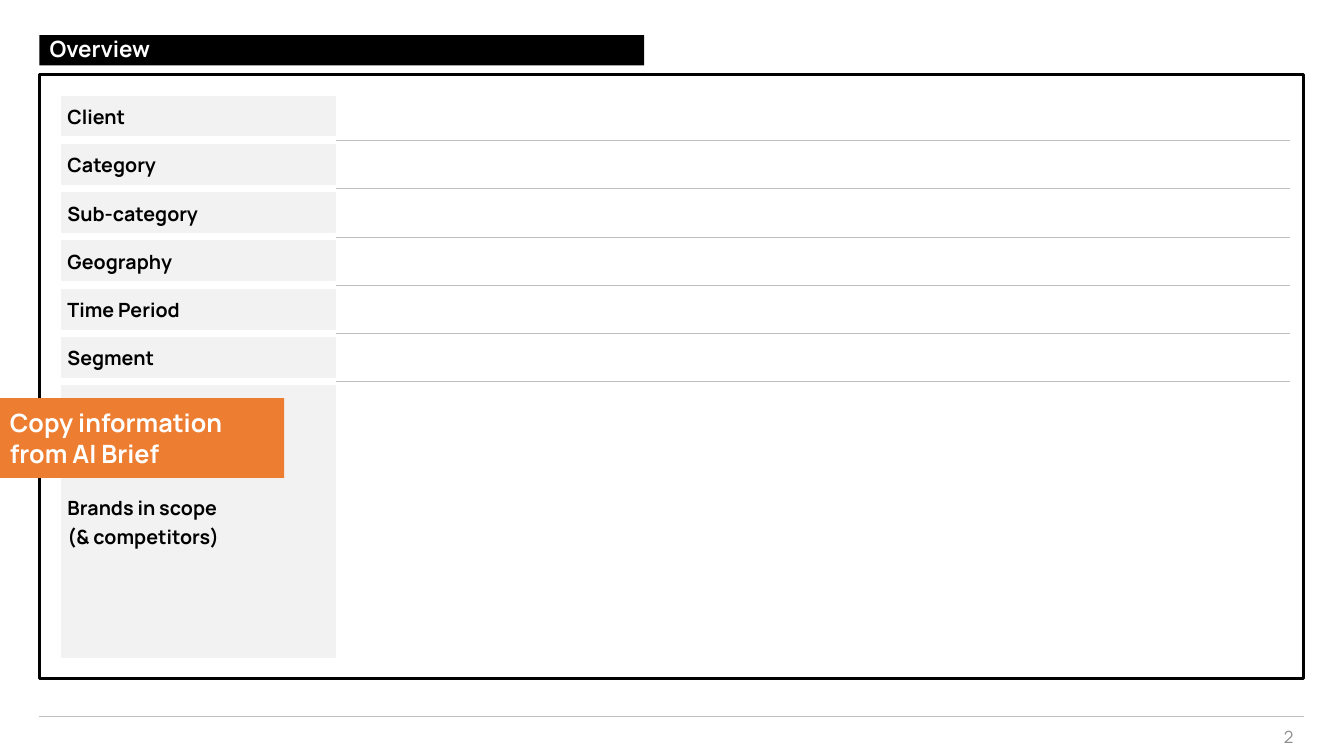
from lxml.etree import SubElement
from pptx import Presentation
from pptx.dml.color import RGBColor
from pptx.enum.shapes import MSO_CONNECTOR, MSO_SHAPE
from pptx.enum.text import MSO_ANCHOR, MSO_AUTO_SIZE, PP_ALIGN
from pptx.oxml import parse_xml
from pptx.oxml.ns import nsdecls, qn
from pptx.util import Pt

BLACK, WHITE, LIGHT, RULE = "000000", "FFFFFF", "F2F2F2", "BFBFBF"
ORANGE, GREY = "ED7D31", "8C8C8C"
color = RGBColor.from_string


def write(text_frame, text, size, text_color, bold=True, align=PP_ALIGN.LEFT,
          spacing=None, before=0, after=0):
    """Fill a text frame, one paragraph per line of text."""
    text_frame.text = text
    text_frame.word_wrap = True
    text_frame.vertical_anchor = MSO_ANCHOR.MIDDLE
    for paragraph in text_frame.paragraphs:
        paragraph.alignment = align
        paragraph.line_spacing = spacing
        paragraph.space_before = Pt(before)
        paragraph.space_after = Pt(after)
        font = paragraph.runs[0].font
        font.name, font.size, font.bold = "Manrope", Pt(size), bold
        font.color.rgb = color(text_color)


def set_borders(cell, **sides):
    """Set borders in schema order; each side (L, R, T, B) is (colour, width)."""
    properties = cell._tc.get_or_add_tcPr()
    for index, side in enumerate("LRTB"):
        line_color, width = sides.get(side, (WHITE, 6))
        properties.insert(index, parse_xml(
            f'<a:ln{side} {nsdecls("a")} w="{Pt(width)}"><a:solidFill>'
            f'<a:srgbClr val="{line_color}"/></a:solidFill></a:ln{side}>'))


presentation = Presentation()
presentation.slide_width, presentation.slide_height = Pt(960), Pt(540)
slide = presentation.slides.add_slide(presentation.slide_layouts[5])
shapes = slide.shapes

# Frame and footer rule
frame = shapes.add_shape(MSO_SHAPE.RECTANGLE, Pt(28.2), Pt(53.3), Pt(902.9), Pt(431.3))
frame.shadow.inherit = False
frame.fill.solid()
frame.fill.fore_color.rgb = color(WHITE)
frame.line.color.rgb = color(BLACK)
frame.line.width = Pt(2.25)

footer_rule = shapes.add_connector(MSO_CONNECTOR.STRAIGHT, Pt(28.2), Pt(511.8), Pt(931.1), Pt(511.8))
footer_rule.line.color.rgb = color(RULE)
footer_rule.line.width = Pt(0.25)
SubElement(footer_rule._element.spPr, qn("a:effectLst"))

# Title bar
title = shapes.title
title.left, title.top, title.width, title.height = Pt(28.2), Pt(25.1), Pt(432), Pt(21.6)
title.fill.solid()
title.fill.fore_color.rgb = color(BLACK)
write(title.text_frame, "Overview", 16, WHITE, spacing=0.9, before=10)
title.text_frame.auto_size = MSO_AUTO_SIZE.NONE

page_number = shapes.add_textbox(Pt(872), Pt(519), Pt(59), Pt(14.4))
write(page_number.text_frame, "2", 12, GREY, bold=False, align=PP_ALIGN.RIGHT)

# Brief table: labels on the left, blank values on the right
labels = ["Client", "Category", "Sub-category", "Geography", "Time Period",
          "Segment", "Brands in scope\n(& competitors)"]
last = len(labels) - 1
table = shapes.add_table(len(labels), 2, Pt(41), Pt(65.6), Pt(877.7), Pt(407)).table
table.first_row = table.horz_banding = False
table.columns[0].width, table.columns[1].width = Pt(201.6), Pt(676.1)

for row, label in enumerate(labels):
    table.rows[row].height = Pt(200 if row == last else 34.5)
    label_cell, value_cell = table.cell(row, 0), table.cell(row, 1)
    for cell, fill in ((label_cell, LIGHT), (value_cell, WHITE)):
        cell.fill.solid()
        cell.fill.fore_color.rgb = color(fill)
    write(label_cell.text_frame, label, 14, BLACK, spacing=1.07, after=0 if row == last else 8)
    label_cell.vertical_anchor = MSO_ANCHOR.MIDDLE
    set_borders(label_cell)
    rules = {}
    if row > 0:
        rules["T"] = (RULE, 0.25)
    if row < last:
        rules["B"] = (RULE, 0.25)
    set_borders(value_cell, **rules)

# Instruction tag
tag = shapes.add_shape(MSO_SHAPE.RECTANGLE, Pt(0), Pt(284.4), Pt(203), Pt(56.9))
tag.shadow.inherit = False
tag.fill.solid()
tag.fill.fore_color.rgb = color(ORANGE)
tag.line.fill.background()
write(tag.text_frame, "Copy information from AI Brief", 18, WHITE)

# The title bar sits above the frame
shapes._spTree.remove(title._element)
footer_rule._element.addnext(title._element)

presentation.save("out.pptx")
